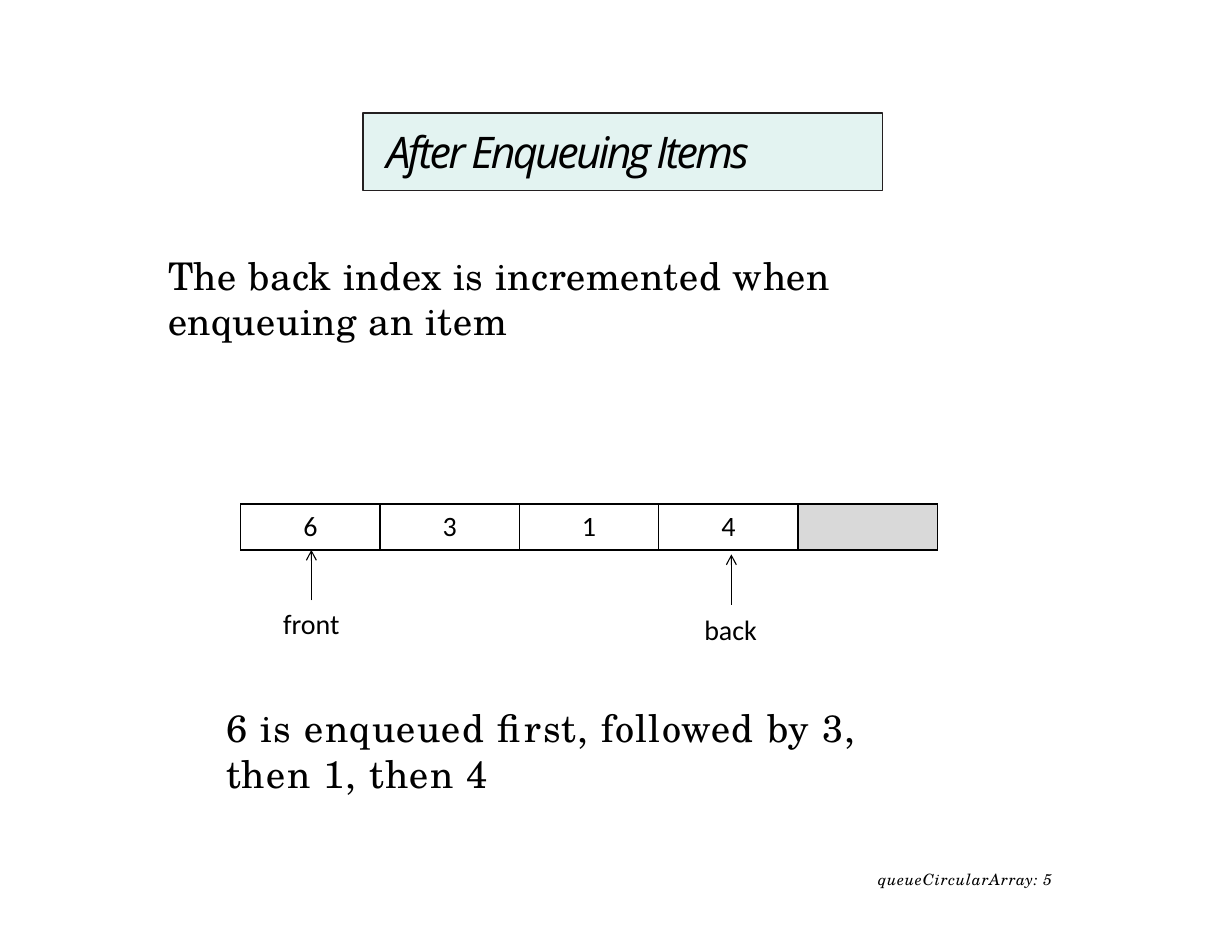
from lxml import etree
from pptx import Presentation
from pptx.dml.color import RGBColor
from pptx.enum.shapes import MSO_CONNECTOR, MSO_SHAPE
from pptx.enum.text import MSO_ANCHOR, PP_ALIGN
from pptx.oxml.ns import qn
from pptx.util import Inches, Pt

BLACK = RGBColor(0x00, 0x00, 0x00)
INK = RGBColor(0x23, 0x1F, 0x20)
MINT = RGBColor(0xE3, 0xF3, 0xF1)
GREY = RGBColor(0xD9, 0xD9, 0xD9)

RECTANGLE = MSO_SHAPE.RECTANGLE
STRAIGHT = MSO_CONNECTOR.STRAIGHT
TOP = MSO_ANCHOR.TOP
LEFT, CENTER = PP_ALIGN.LEFT, PP_ALIGN.CENTER

TITLE = {"name": "Open Sans", "size": Pt(28), "italic": True}
BODY = {"name": "TeX Gyre Schola", "size": Pt(24.5)}
LABEL = {"name": "Calibri", "size": Pt(18)}
FOOTER = {"name": "TeX Gyre Schola", "size": Pt(10), "italic": True}
DEFAULT_INSETS = (0.1, 0.05, 0.1, 0.05)


class QueueSlide:
    def __init__(self, slide):
        self.shapes = slide.shapes

    def fill_text(self, frame, text, font, spacing=0, align=LEFT):
        """Fill the first paragraph; spacing is letter spacing in points."""
        paragraph = frame.paragraphs[0]
        paragraph.alignment = align
        run = paragraph.add_run()
        run.text = text
        for name, value in font.items():
            setattr(run.font, name, value)
        run.font.color.rgb = BLACK
        if spacing:
            run._r.get_or_add_rPr().set("spc", str(round(spacing * 100)))
        return paragraph

    def set_frame(self, frame, insets, wrap=True):
        left, top, right, bottom = map(Inches, insets)
        values = {"margin_left": left, "margin_top": top, "margin_right": right,
                  "margin_bottom": bottom, "word_wrap": wrap, "vertical_anchor": TOP}
        for name, value in values.items():
            setattr(frame, name, value)

    def title(self, box, text):
        shape = self.shapes.add_shape(RECTANGLE, *map(Inches, box))
        shape.shadow.inherit = False
        shape.fill.solid()
        shape.fill.fore_color.rgb = MINT
        shape.line.color.rgb = INK
        shape.line.width = Pt(1)
        self.set_frame(shape.text_frame, (0.21, 0.04, 0, 0))
        paragraph = self.fill_text(shape.text_frame, text, TITLE, -1.8)
        paragraph.line_spacing = Pt(38.5)

    def text(self, box, text, font, spacing=0, insets=DEFAULT_INSETS, wrap=True, before=0):
        frame = self.shapes.add_textbox(*map(Inches, box)).text_frame
        self.set_frame(frame, insets, wrap)
        self.fill_text(frame, text, font, spacing).space_before = Pt(before)

    def array(self, box, values):
        """Draw one row of cells; an empty value gives a grey cell."""
        table = self.shapes.add_table(1, len(values), *map(Inches, box)).table
        table.first_row = table.horz_banding = False
        for cell, value in zip(table.iter_cells(), values):
            if value:
                cell.fill.background()
                self.fill_text(cell.text_frame, value, LABEL, align=CENTER)
            else:
                cell.fill.solid()
                cell.fill.fore_color.rgb = GREY
            self.border(cell)

    def border(self, cell):
        properties = cell._tc.get_or_add_tcPr()
        for index, side in enumerate(("lnL", "lnR", "lnT", "lnB")):
            line = etree.Element(qn(f"a:{side}"), w=str(Pt(1)))
            fill = etree.SubElement(line, qn("a:solidFill"))
            etree.SubElement(fill, qn("a:srgbClr"), val=str(BLACK))
            properties.insert(index, line)

    def pointer(self, x, tip, length=0.45):
        """Draw an upward arrow whose head is at the tip."""
        arrow = self.shapes.add_connector(
            STRAIGHT, Inches(x), Inches(tip + length), Inches(x), Inches(tip))
        arrow.line.color.rgb = BLACK
        arrow.line.width = Pt(0.75)
        properties = arrow._element.spPr
        etree.SubElement(properties.find(qn("a:ln")), qn("a:tailEnd"), type="arrow")
        etree.SubElement(properties, qn("a:effectLst"))


def main():
    presentation = Presentation()
    presentation.slide_width = Inches(11)
    presentation.slide_height = Inches(8.5)
    slide = QueueSlide(presentation.slides.add_slide(presentation.slide_layouts[6]))

    slide.title((3.24, 1.01, 4.64, 0.69), "After Enqueuing Items")
    slide.text((1.49, 2.23, 7.01, 0.84), "The back index is incremented when enqueuing an item",
               BODY, 0.4, insets=(0.01, 0.02, 0, 0), before=1.2)
    slide.array((2.15, 4.5, 6.22, 0.41), ["6", "3", "1", "4", ""])
    for name, x, tip, box in (
        ("front", 2.78, 4.91, (2.43, 5.37, 0.71, 0.4)),
        ("back", 6.53, 4.95, (6.19, 5.42, 0.68, 0.4)),
    ):
        slide.pointer(x, tip)
        slide.text(box, name, LABEL, wrap=False)
    slide.text((1.92, 6.24, 6.67, 0.93), "6 is enqueued first, followed by 3, then 1, then 4",
               BODY, 0.9)
    slide.text((7.83, 7.77, 1.69, 0.17), "queueCircularArray: 5",
               FOOTER, 0.5, insets=(0.01, 0, 0, 0), before=0.2)

    presentation.save("out.pptx")


if __name__ == "__main__":
    main()
